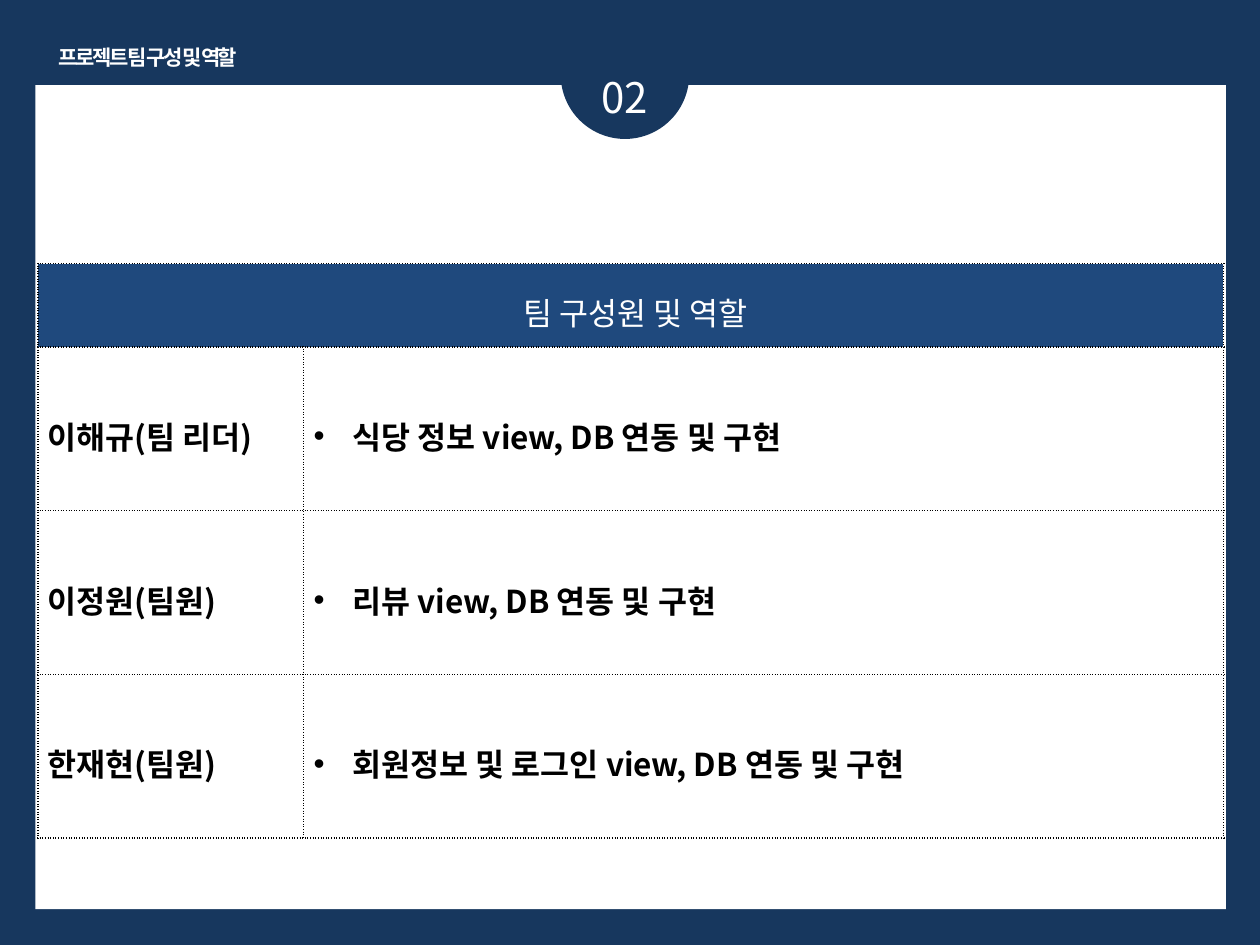
import pptx
import pptx.dml.color
import pptx.enum.shapes
import pptx.enum.text
import pptx.oxml
import pptx.oxml.ns
import pptx.util
from lxml import etree

NAVY = pptx.dml.color.RGBColor(0x17, 0x37, 0x5E)
BLUE = pptx.dml.color.RGBColor(0x1F, 0x49, 0x7D)
WHITE = pptx.dml.color.RGBColor(0xFF, 0xFF, 0xFF)
BLACK = pptx.dml.color.RGBColor(0, 0, 0)
ALIGN = pptx.enum.text.PP_ALIGN
ANCHOR = pptx.enum.text.MSO_ANCHOR
SHAPE = pptx.enum.shapes.MSO_SHAPE
FONT = "Noto Sans CJK KR"
BULLET_INDENT = pptx.util.Inches(0.31)

MEMBERS = [
    ("이해규(팀 리더)", "식당 정보 view, DB 연동 및 구현"),
    ("이정원(팀원)", "리뷰 view, DB 연동 및 구현"),
    ("한재현(팀원)", "회원정보 및 로그인 view, DB 연동 및 구현"),
]


def add_child(parent, tag, **attributes):
    child = etree.SubElement(parent, pptx.oxml.ns.qn(tag))
    for name, value in attributes.items():
        child.set(name, str(value))
    return child


def write_text(frame, text, size=18, color=BLACK, bold=False, align=ALIGN.LEFT,
               line_spacing=None, bullet=None, tracking=None):
    paragraph = frame.paragraphs[0]
    paragraph.alignment = align
    if line_spacing:
        paragraph.line_spacing = line_spacing
    if bullet:
        properties = paragraph._p.get_or_add_pPr()
        properties.set("marL", str(BULLET_INDENT))
        properties.set("indent", str(-BULLET_INDENT))
        add_child(properties, "a:buFont", typeface="Arial")
        add_child(properties, "a:buChar", char=bullet)
    run = paragraph.add_run()
    run.text = text
    run.font.size = pptx.util.Pt(size)
    run.font.bold = bold
    run.font.color.rgb = color
    run.font.name = FONT
    run_properties = run._r.get_or_add_rPr()
    add_child(run_properties, "a:ea", typeface=FONT)
    if tracking is not None:
        run_properties.set("spc", str(round(tracking * 100)))


class SlideBuilder:
    """Places elements by shares of the slide's width and height."""

    def __init__(self, presentation):
        self.width = presentation.slide_width
        self.height = presentation.slide_height
        self.slide = presentation.slides.add_slide(presentation.slide_layouts[5])
        self.slide.background.fill.solid()
        self.slide.background.fill.fore_color.rgb = NAVY

    def box(self, left, top, width, height):
        return (round(left * self.width), round(top * self.height),
                round(width * self.width), round(height * self.height))

    def title(self, text, *shares, **text_format):
        shape = self.slide.shapes.title
        shape.left, shape.top, shape.width, shape.height = self.box(*shares)
        self.fill_frame(shape.text_frame, text, wrap=False, **text_format)

    def text(self, text, *shares, **text_format):
        shape = self.slide.shapes.add_textbox(*self.box(*shares))
        self.fill_frame(shape.text_frame, text, wrap=True, **text_format)

    def fill_frame(self, frame, text, wrap, **text_format):
        frame.auto_size = pptx.enum.text.MSO_AUTO_SIZE.SHAPE_TO_FIT_TEXT
        frame.word_wrap = wrap
        frame.vertical_anchor = ANCHOR.TOP
        write_text(frame, text, color=WHITE, align=ALIGN.CENTER, **text_format)

    def shape(self, kind, color, *shares):
        shape = self.slide.shapes.add_shape(kind, *self.box(*shares))
        shape.shadow.inherit = False
        shape.fill.solid()
        shape.fill.fore_color.rgb = color
        shape.line.fill.background()

    def table(self, heading, rows, *shares, columns, heading_height):
        table = self.slide.shapes.add_table(
            len(rows) + 1, len(columns), *self.box(*shares)).table
        table.first_row = table.horz_banding = False
        for column, share in zip(table.columns, columns):
            column.width = round(share * self.width)
        row_height = (shares[3] - heading_height) / len(rows)
        for index, row in enumerate(table.rows):
            share = row_height if index else heading_height
            row.height = round(share * self.height)
        for cell in table.iter_cells():
            self.style_cell(cell)

        header = table.cell(0, 0)
        header.merge(table.cell(0, len(columns) - 1))
        header.fill.solid()
        header.fill.fore_color.rgb = BLUE
        write_text(header.text_frame, heading, color=WHITE,
                   align=ALIGN.CENTER, line_spacing=1.3)
        for row, values in enumerate(rows, 1):
            for column, value in enumerate(values):
                write_text(table.cell(row, column).text_frame, value, bold=True,
                           line_spacing=1.3, bullet="•" if column else None)

    def style_cell(self, cell):
        cell.vertical_anchor = ANCHOR.MIDDLE
        cell.margin_left = pptx.util.Inches(0.08)
        cell.margin_top = cell.margin_right = cell.margin_bottom = 0
        properties = cell._tc.get_or_add_tcPr()
        for side in "LRTB":
            line = add_child(properties, f"a:ln{side}", w=pptx.util.Pt(1))
            fill = add_child(line, "a:solidFill")
            add_child(fill, "a:srgbClr", val=BLACK)
            add_child(line, "a:prstDash", val="sysDot")
        cell.fill.background()


def main():
    presentation = pptx.Presentation()
    presentation.slide_width = pptx.util.Inches(10)
    presentation.slide_height = pptx.util.Inches(7.5)
    builder = SlideBuilder(presentation)
    builder.shape(SHAPE.RECTANGLE, WHITE, 0.028, 0.09, 0.945, 0.872)
    builder.shape(SHAPE.OVAL, NAVY, 0.445, 0.011, 0.102, 0.136)
    builder.title("프로젝트 팀 구성 및 역할", 0.026, 0.04, 0.183, 0.04,
                  size=12, bold=True, tracking=-1.5)
    builder.text("02", 0.437, 0.069, 0.118, 0.067, size=24)
    builder.table("팀 구성원 및 역할", MEMBERS, 0.03, 0.279, 0.941, 0.608,
                  columns=(0.211, 0.73), heading_height=0.088)
    presentation.save("out.pptx")


if __name__ == "__main__":
    main()
